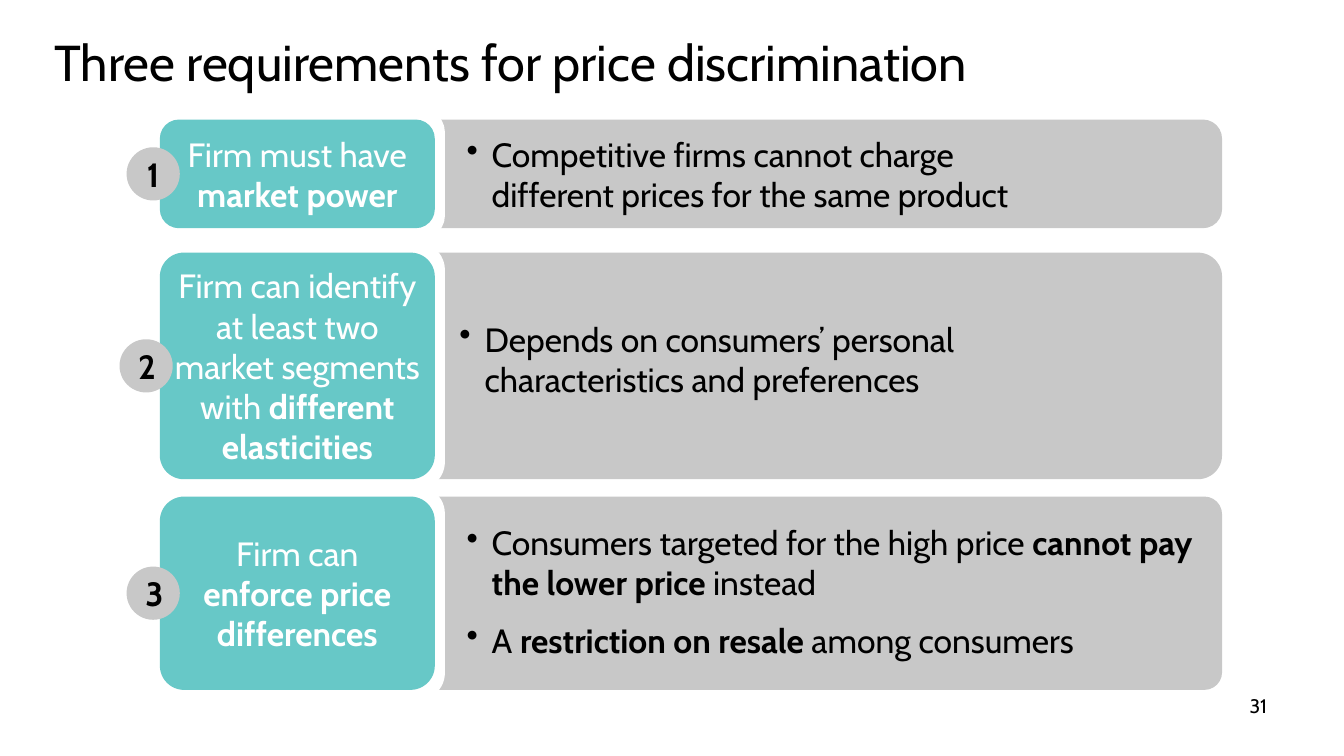
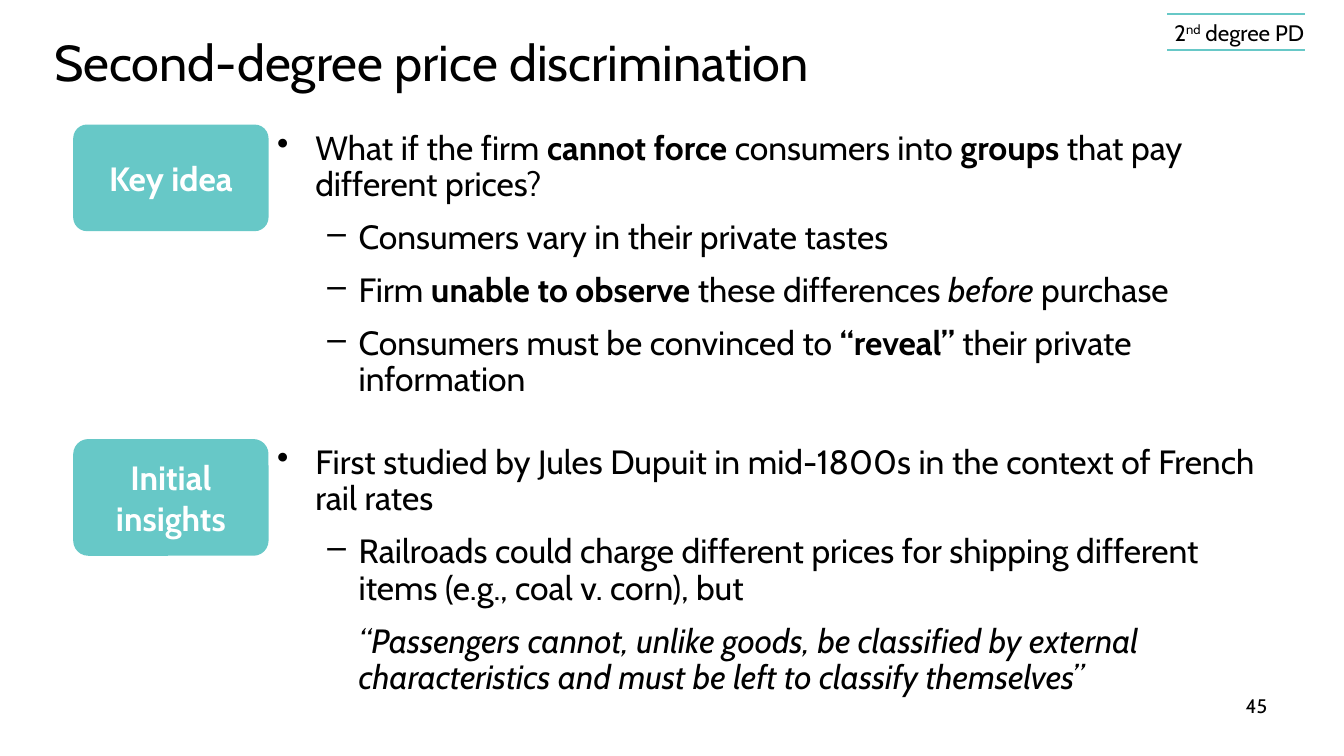
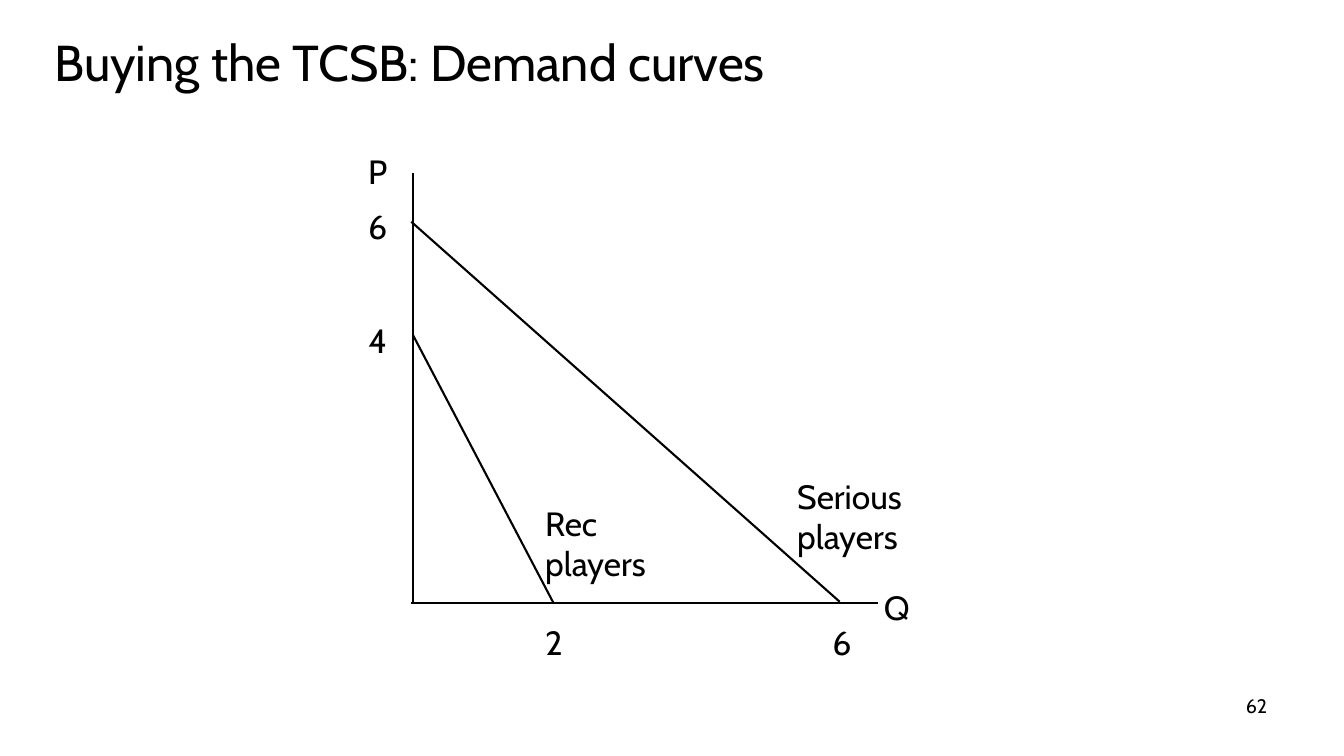
import pptx
import pptx.util
import pptx.dml.color
import pptx.enum.shapes
import pptx.enum.text
import lxml.etree

COLS, ROWS = 133.33, 75
CELL = pptx.util.Inches(0.1)
Pt = pptx.util.Pt
Kind = pptx.enum.shapes.MSO_SHAPE
Mid = pptx.enum.text.MSO_ANCHOR.MIDDLE
Top = pptx.enum.text.MSO_ANCHOR.TOP
Align = pptx.enum.text.PP_ALIGN
LEFT, MID, RIGHT = Align.LEFT, Align.CENTER, Align.RIGHT

THEME = {
    "font": "Cabin",
    "ink": "000000", "paper": "FFFFFF", "teal": "67C8C7", "gray": "C8C8C8",
    "title": 36, "body": 24, "tag": 16, "page": 14,
    "edge": 2, "rule": 1.5,
}
MARKS = {"*": ("bold", True), "_": ("italic", True), "^": ("base", "30000")}
LISTS = {
    "dot": {"mark": "•", "left": 2.5, "hang": 2.5, "gap": 12},
    "main": {"mark": "•", "left": 3.8, "hang": 3.8, "after": 12, "lead": 0.9},
    "sub": {"mark": "–", "left": 8.1, "hang": 3.1, "after": 12, "lead": 0.9, "level": 1},
    "quote": {"left": 8.1, "after": 12, "lead": 0.9},
}

NEEDS = {
    "title": "Three requirements for price discrimination", "page": "31",
    "rows": [
        {"top": 12, "high": 10.5, "shift": 0, "round": (0.167, 0.167, 0.167),
         "head": "Firm must have *market power*", "down": 0.8, "wide": 61.8,
         "points": ["Competitive firms cannot charge different prices for the same product"]},
        {"top": 25.2, "high": 22.2, "shift": 0.7, "round": (0.101, 0.106, 0.101), "pad": 0,
         "head": "Firm can identify at least two market segments with *different elasticities*",
         "down": 5.9, "wide": 61.8,
         "points": ["Depends on consumers’ personal characteristics and preferences"]},
        {"top": 49.4, "high": 18.9, "shift": 0, "round": (0.085, 0.121, 0.12),
         "head": "Firm can *enforce price differences*", "down": 1.9, "wide": 75.2,
         "points": ["Consumers targeted for the high price *cannot pay the lower price *instead",
                    "A *restriction on resale *among consumers"]},
    ],
}
SECOND = {
    "title": "Second-degree price discrimination", "page": "45",
    "tag": "2^nd^ degree PD",
    "parts": [
        {"head": "*Key idea*", "top": 12.5, "high": 10.3, "deep": 27.9, "points": [
            ("main", "What if the firm *cannot force *consumers into *groups *that pay different prices?"),
            ("sub", "Consumers vary in their private tastes"),
            ("sub", "Firm *unable to observe *these differences _before _purchase"),
            ("sub", "Consumers must be convinced to *“reveal” *their private information")]},
        {"head": "*Initial insights*", "top": 43.7, "high": 11.3, "deep": 26.2, "points": [
            ("main", "First studied by Jules Dupuit in mid-1800s in the context of French rail rates"),
            ("sub", "Railroads could charge different prices for shipping different items (e.g., coal v. corn), but"),
            ("quote", "_“Passengers cannot, unlike goods, be classified by external characteristics and must be left to classify themselves”_")]},
    ],
}
DEMAND = {
    "title": "Buying the TCSB: Demand curves", "page": "62",
    "lines": [(41, 17.2, 41, 59.8), (40.8, 59.8, 87.1, 59.8),
              (40.8, 22, 83.3, 59.7), (41, 33.3, 54.9, 59.8)],
    "prices": [("P", 14.5), ("6", 19.9), ("4", 31.2)],
    "labels": [("2", 53.1, 61.2, 3.9, 4.2), ("6", 81.6, 61.2, 3.9, 4.2),
               ("Q", 86.7, 57.7, 4.6, 4.2),
               ("Rec players", 53.1, 49.4, 14.9, 9.1),
               ("Serious players", 78.1, 46.7, 15.9, 9.1)],
}


def dist(num):
    return int(num * CELL)


def tint(name):
    return pptx.dml.color.RGBColor.from_string(THEME[name])


def put(item, vals):
    for key, val in vals.items():
        setattr(item, key, val)


def spans(text):
    live, part = {}, ""
    for char in text:
        if char in MARKS:
            if part:
                yield part, dict(live)
            part = ""
            key, val = MARKS[char]
            if live.pop(key, None) is None:
                live[key] = val
        else:
            part += char
    if part:
        yield part, dict(live)


def indent(para, style, first):
    form = LISTS[style]
    props = para._p.get_or_add_pPr()
    props.set("marL", str(dist(form["left"])))
    props.set("indent", str(-dist(form.get("hang", 0))))
    if "mark" in form:
        tag = pptx.oxml.ns.qn("a:buChar")
        lxml.etree.SubElement(props, tag).set("char", form["mark"])
    vals = {"level": form.get("level", 0), "space_after": Pt(form.get("after", 0)),
            "line_spacing": form.get("lead", 1.0)}
    if not first:
        vals["space_before"] = Pt(form.get("gap", 0))
    put(para, vals)


def write(shape, items, size="body", ink="ink", align=LEFT, anchor=Top, wrap=True, pad=1):
    frame = shape.text_frame
    put(frame, {"word_wrap": wrap, "vertical_anchor": anchor,
                "margin_left": dist(pad), "margin_right": dist(pad),
                "margin_top": dist(0.5), "margin_bottom": dist(0.5)})
    for num, (style, text) in enumerate(items):
        para = frame.add_paragraph() if num else frame.paragraphs[0]
        if style:
            indent(para, style, num == 0)
        para.alignment = align
        for part, marks in spans(text):
            run = para.add_run()
            run.text = part
            base = marks.pop("base", None)
            put(run.font, {"name": THEME["font"], "size": Pt(THEME[size]), **marks})
            run.font.color.rgb = tint(ink)
            if base:
                run._r.get_or_add_rPr().set("baseline", base)


def label(slide, area, items, **form):
    box = slide.shapes.add_textbox(*map(dist, area))
    if isinstance(items, str):
        items = [(None, items)]
    write(box, items, **form)


def block(slide, area, fill, text="", curve=None, kind=Kind.ROUNDED_RECTANGLE, **form):
    shape = slide.shapes.add_shape(kind, *map(dist, area))
    shape.shadow.inherit = False
    shape.fill.solid()
    shape.fill.fore_color.rgb = tint(fill)
    shape.line.color.rgb = tint(fill)
    shape.line.width = Pt(THEME["edge"])
    if curve is not None:
        shape.adjustments[0] = curve
    if text:
        write(shape, [(None, text)], align=MID, anchor=Mid, **form)


def rule(slide, ends, ink="ink"):
    line = slide.shapes.add_connector(pptx.enum.shapes.MSO_CONNECTOR.STRAIGHT, *map(dist, ends))
    line.line.color.rgb = tint(ink)
    line.line.width = Pt(THEME["rule"])
    lxml.etree.SubElement(line._element.spPr, pptx.oxml.ns.qn("a:effectLst"))


def start(deck, data):
    slide = deck.slides.add_slide(deck.slide_layouts[6])
    label(slide, (4.4, 2.5, 120, 7.1), data["title"], size="title", anchor=Mid)
    label(slide, (95.6, 68.3, 31.1, 5.2), data["page"], size="page", align=RIGHT)
    return slide


def needs(deck):
    slide = start(deck, NEEDS)
    left, wide, rim, end, ball = 16, 27, 1, 121.1, 5
    for num, row in enumerate(NEEDS["rows"], 1):
        top, high, shift = row["top"], row["high"], row["shift"]
        back, ring, face = row["round"]
        near = 30.8 - shift
        block(slide, (near, top, end - near, high), "gray", curve=back)
        block(slide, (left - rim, top - rim, wide + 2 * rim, high + 2 * rim), "paper", curve=ring)
        block(slide, (left, top, wide, high), "teal", row["head"], face,
              ink="paper", pad=row.get("pad", 1))
        label(slide, (45.3 - shift, top + row["down"], row["wide"], high - 2 * row["down"]),
              [("dot", text) for text in row["points"]])
        block(slide, (12.7 - shift, top + (high - ball) / 2, ball, ball), "gray",
              f"*{num}*", kind=Kind.OVAL)


def second(deck):
    slide = start(deck, SECOND)
    label(slide, (115.3, 1.4, 15.3, 3.7), SECOND["tag"], size="tag", align=MID, wrap=False)
    for high in (1.4, 5):
        rule(slide, (115.8, high, 129.5, high), "teal")
    left, wide = 7.4, 19.1
    for part in SECOND["parts"]:
        block(slide, (left, part["top"], wide, part["high"]), "teal", part["head"], 0.12, ink="paper")
        label(slide, (left + wide, part["top"], 100.1, part["deep"]), part["points"])


def demand(deck):
    slide = start(deck, DEMAND)
    for ends in DEMAND["lines"]:
        rule(slide, ends)
    for text, top in DEMAND["prices"]:
        label(slide, (35.3, top, 4.1, 4.2), text, align=RIGHT)
    for text, *area in DEMAND["labels"]:
        label(slide, area, text)


def main():
    deck = pptx.Presentation()
    put(deck, {"slide_width": dist(COLS), "slide_height": dist(ROWS)})
    for draw in (needs, second, demand):
        draw(deck)
    deck.save("out.pptx")


if __name__ == "__main__":
    main()
